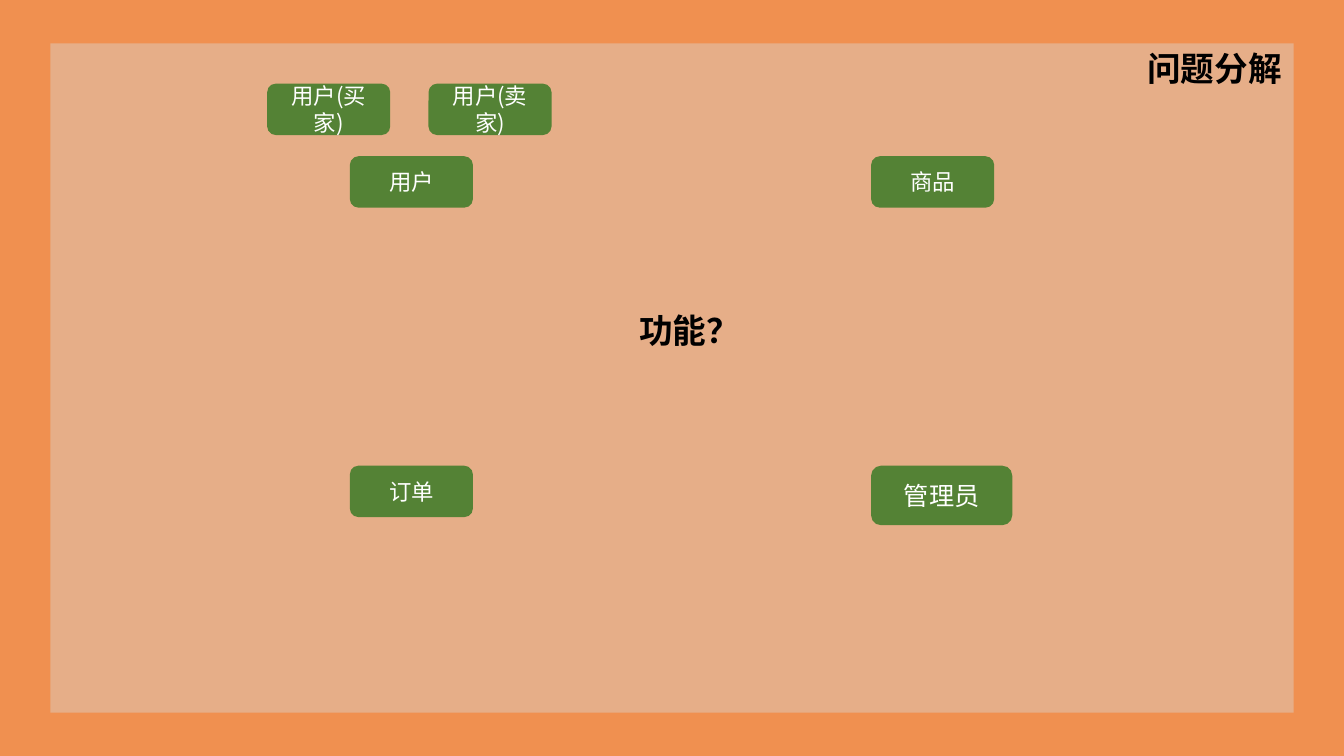
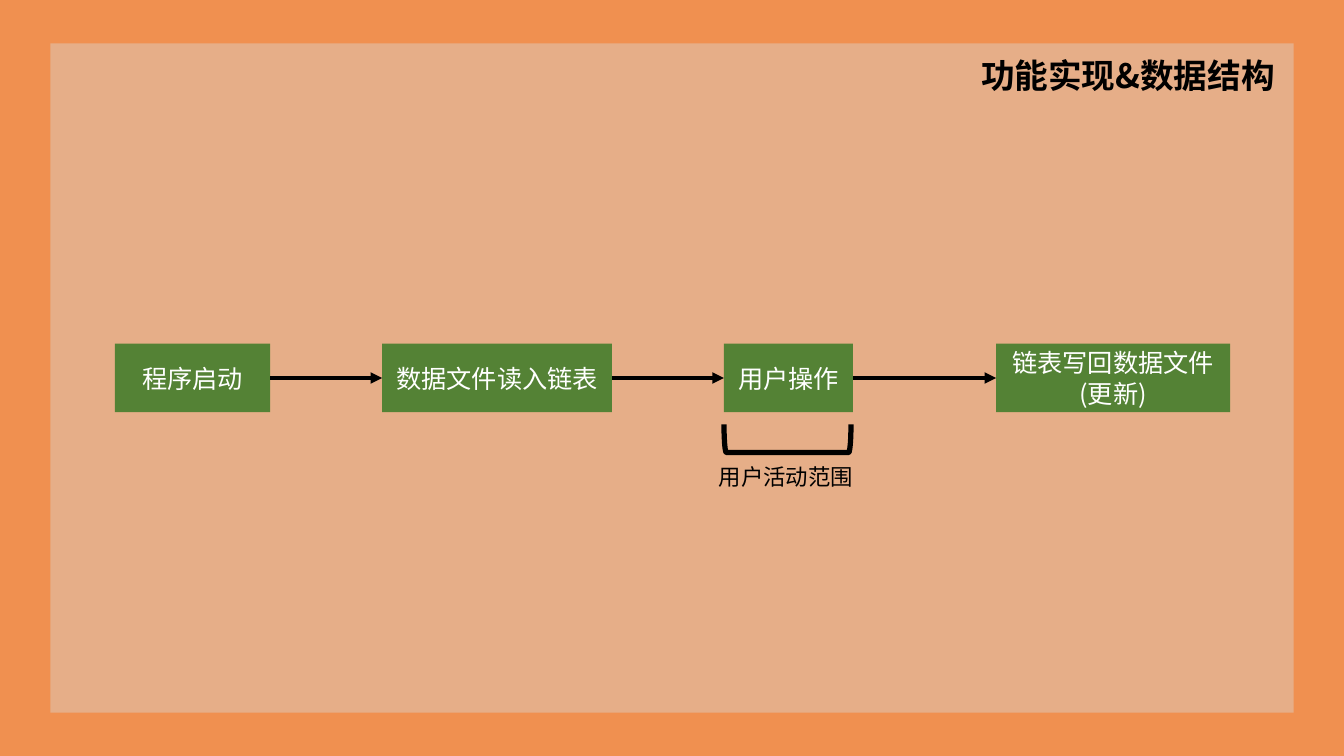
from lxml.etree import SubElement
from pptx import Presentation
from pptx.dml.color import RGBColor
from pptx.enum.shapes import MSO_CONNECTOR as LINK, MSO_SHAPE as KIND
from pptx.enum.text import MSO_ANCHOR as ANCHOR, MSO_AUTO_SIZE as AUTO, PP_ALIGN as ALIGN
from pptx.oxml.ns import qn
from pptx.util import Inches, Pt

ORANGE = RGBColor(0xF0, 0x90, 0x50)
GRAY = RGBColor(0xD9, 0xD9, 0xD9)
GREEN = RGBColor(0x54, 0x82, 0x35)
WHITE = RGBColor(0xFF, 0xFF, 0xFF)
BLACK = RGBColor(0x00, 0x00, 0x00)
FONT = "Noto Sans CJK SC"
HEAD = {"size": Pt(24), "bold": True}


def write(shape, text, look, color=BLACK, align=ALIGN.LEFT, anchor=ANCHOR.TOP):
    frame = shape.text_frame
    frame.word_wrap = True
    frame.auto_size = AUTO.NONE
    frame.vertical_anchor = anchor
    para = frame.paragraphs[0]
    para.alignment = align
    run = para.add_run()
    run.text = text
    run.font.color.rgb = color
    for key, value in {"name": FONT, **look}.items():
        setattr(run.font, key, value)
    SubElement(run.font._element, qn("a:ea"), typeface=FONT)


def block(slide, kind, place, fill, text="", size=18):
    shape = slide.shapes.add_shape(kind, *map(Inches, place))
    shape.shadow.inherit = False
    shape.line.fill.background()
    shape.fill.solid()
    shape.fill.fore_color.rgb = fill
    if text:
        write(shape, text, {"size": Pt(size)}, WHITE, ALIGN.CENTER, ANCHOR.MIDDLE)
    return shape


deck = Presentation()
deck.slide_width, deck.slide_height = Inches(13.33), Inches(7.5)
back = deck.slide_master.background.fill
back.solid()
back.fore_color.rgb = ORANGE

# Shared frame: translucent panel behind a title at top right
pages = []
for text, place in [
    ("问题分解", (11.28, 0.43, 1.55, 0.5)),
    ("功能实现&数据结构", (9.63, 0.49, 3.2, 0.5)),
]:
    slide = deck.slides.add_slide(deck.slide_layouts[5])
    panel = block(slide, KIND.RECTANGLE, (0.5, 0.43, 12.33, 6.64), GRAY)
    tint = panel.fill._xPr.find(".//" + qn("a:srgbClr"))
    SubElement(tint, qn("a:alpha"), val="41000")
    title = slide.shapes.title
    title.left, title.top, title.width, title.height = map(Inches, place)
    write(title, text, HEAD)
    title._element.addprevious(panel._element)
    pages.append(slide)
parts, flow = pages

# Slide 1: parts of the system around the question
for text, left, top in [
    ("订单", 3.47, 4.62),
    ("用户(卖家)", 4.25, 0.83),
    ("用户(买家)", 2.65, 0.83),
    ("商品", 8.64, 1.55),
    ("用户", 3.47, 1.55),
]:
    block(parts, KIND.ROUNDED_RECTANGLE, (left, top, 1.22, 0.51), GREEN, text, 16)
block(parts, KIND.ROUNDED_RECTANGLE, (8.64, 4.62, 1.4, 0.59), GREEN, "管理员")

# Slide 2: steps, each joined to the one before
TOP, HIGH = 3.41, 0.68
MID = TOP + HIGH / 2
end = None
for text, left, width in [
    ("程序启动", 1.14, 1.54),
    ("数据文件读入链表", 3.79, 2.28),
    ("用户操作", 7.18, 1.28),
    ("链表写回数据文件(更新)", 9.88, 2.32),
]:
    block(flow, KIND.RECTANGLE, (left, TOP, width, HIGH), GREEN, text)
    if end:
        arrow = flow.shapes.add_connector(LINK.STRAIGHT, *map(Inches, (end, MID, left, MID)))
        arrow.line.color.rgb = BLACK
        arrow.line.width = Pt(2.75)
        SubElement(arrow.line._get_or_add_ln(), qn("a:tailEnd"), type="triangle")
        SubElement(arrow._element.spPr, qn("a:effectLst"))
    end = left + width

# Bracket under the user step
brace = flow.shapes.add_shape(KIND.RIGHT_BRACKET, *map(Inches, (7.67, 3.72, 0.28, 1.26)))
brace.rotation = 90
brace.shadow.inherit = False
brace.fill.background()
brace.line.color.rgb = BLACK
brace.line.width = Pt(3.75)

# Free labels
for slide, text, place, look in [
    (parts, "功能？", (6.24, 3.03, 1.21, 0.5), HEAD),
    (flow, "用户活动范围", (7.03, 4.55, 1.55, 0.37), {"size": Pt(16)}),
]:
    write(slide.shapes.add_textbox(*map(Inches, place)), text, look)

deck.save("out.pptx")
